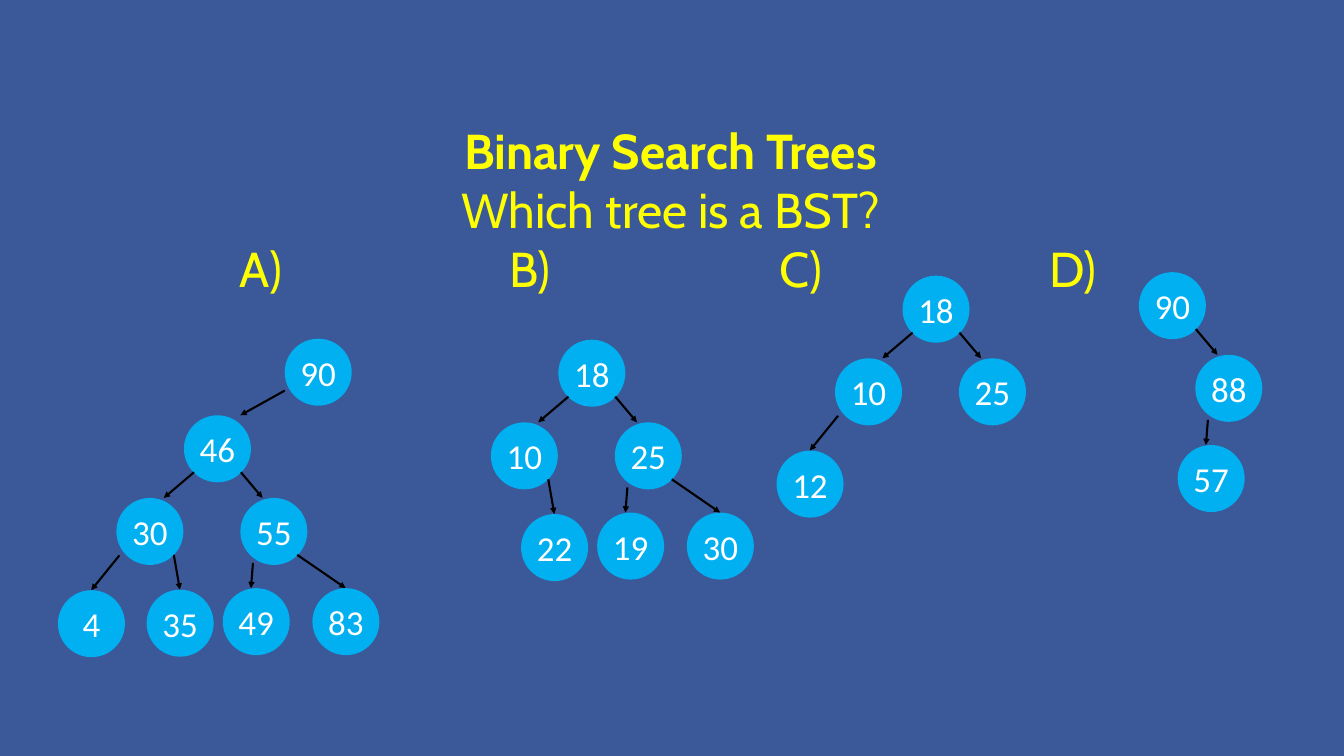
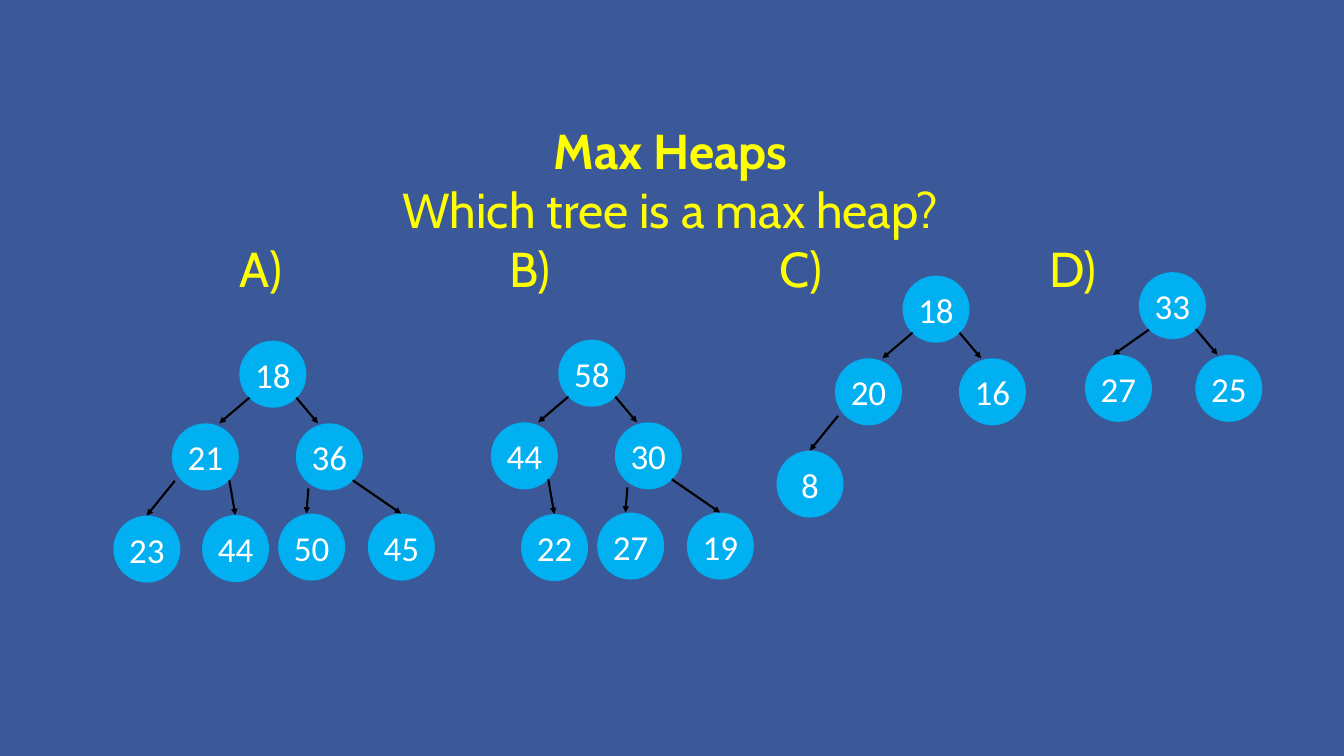
from dataclasses import dataclass

from lxml.etree import SubElement
from pptx import Presentation
from pptx.dml.color import RGBColor
from pptx.enum.shapes import MSO_CONNECTOR, MSO_SHAPE
from pptx.enum.text import MSO_ANCHOR, PP_ALIGN
from pptx.oxml.ns import qn
from pptx.util import Inches, Pt


@dataclass(frozen=True)
class Theme:
    """Colours, fonts and sizes shared by both slides."""
    background: RGBColor = RGBColor(0x3B, 0x59, 0x98)
    title: RGBColor = RGBColor(0xFF, 0xFF, 0x00)
    node: RGBColor = RGBColor(0x00, 0xB0, 0xF0)
    node_text: RGBColor = RGBColor(0xFF, 0xFF, 0xFF)
    arrow: RGBColor = RGBColor(0x00, 0x00, 0x00)
    title_font: str = "Cabin"
    node_font: str = "Calibri"
    title_size: int = 70
    node_size: int = 50
    arrow_width: int = 3


THEME = Theme()

# Content: each tree is (top left of its root node, {slot: key}).
SLIDES = [
    ("Binary Search Trees", "Which tree is a BST?", [
        ((3.65, 8.24), {"above": 90, "root": 46, "L": 30, "R": 55,
                        "LL": 4, "LR": 35, "RL": 49, "RR": 83}),
        ((11.08, 6.74), {"root": 18, "L": 10, "R": 25,
                         "LR": 22, "RL": 19, "RR": 30}),
        ((17.91, 5.47), {"root": 18, "L": 10, "R": 25, "LL": 12}),
        ((22.6, 5.4), {"root": 90, "R": 88, "RL": 57}),
    ]),
    ("Max Heaps", "Which tree is a max heap?", [
        ((4.75, 6.76), {"root": 18, "L": 21, "R": 36,
                        "LL": 23, "LR": 44, "RL": 50, "RR": 45}),
        ((11.08, 6.74), {"root": 58, "L": 44, "R": 30,
                         "LR": 22, "RL": 27, "RR": 19}),
        ((17.91, 5.47), {"root": 18, "L": 20, "R": 16, "LL": 8}),
        ((22.6, 5.4), {"root": 33, "near L": 27, "R": 25}),
    ]),
]
OPTIONS = ["A)", "B)", "C)", "D)"]

# Layout: where each slot sits relative to the root node.
NODE = 1.33
SLOTS = {
    "above": (2, -1.52), "root": (0, 0),
    "L": (-1.34, 1.64), "near L": (-1.07, 1.64), "R": (1.12, 1.64),
    "LL": (-2.5, 3.47), "LR": (-0.74, 3.46),
    "RL": (0.77, 3.43), "RR": (2.55, 3.43),
}
# child: (parent, point left from within the parent, x reached on the child's top)
LINKS = {
    "root": ("above", (0, 1.03), 1.12),
    "L": ("root", (0.2, 1.13), 0.94),
    "near L": ("root", (0.2, 1.14), 0.56),
    "R": ("root", (1.13, 1.13), 0.44),
    "LL": ("L", (0.06, 1.14), 0.66),
    "LR": ("L", (1.14, 1.13), 0.66),
    "RL": ("R", (0.25, 1.29), 0.56),
    "RR": ("R", (1.13, 1.13), 0.66),
}
TITLE_BOX = (-0.03, 2.89, 26.67, 2.5)
FIRST_OPTION, OPTION_PITCH = 4.78, 5.36


def prepare_frame(tf, inset):
    """Centre a text frame vertically and give it equal margins."""
    tf.word_wrap = True
    tf.vertical_anchor = MSO_ANCHOR.MIDDLE
    tf.margin_left = tf.margin_right = Inches(inset)
    tf.margin_top = tf.margin_bottom = Inches(inset)


def style_paragraph(p, font, size, color, bold=False):
    """Centre a paragraph and set its font."""
    p.alignment = PP_ALIGN.CENTER
    p.font.name, p.font.size, p.font.bold = font, Pt(size), bold
    p.font.color.rgb = color


def add_title(s, topic, question):
    """Add the topic, the question and the row of option letters."""
    tf = s.shapes.add_textbox(*map(Inches, TITLE_BOX)).text_frame
    prepare_frame(tf, 0)
    lines = [topic, question, "".join("\t" + o for o in OPTIONS)]
    for i, line in enumerate(lines):
        p = tf.add_paragraph() if i else tf.paragraphs[0]
        p.add_run().text = line
        style_paragraph(p, THEME.title_font, THEME.title_size, THEME.title, i == 0)
    p.alignment = PP_ALIGN.LEFT
    pPr = p._p.get_or_add_pPr()
    stops = pPr.makeelement(qn("a:tabLst"), {})
    pPr.insert_element_before(stops, "a:defRPr", "a:extLst")
    for i in range(len(OPTIONS)):
        pos = Inches(FIRST_OPTION + i * OPTION_PITCH)
        SubElement(stops, qn("a:tab"), pos=str(int(pos)), algn="l")


def add_node(s, x, y, key):
    """Add a round node with its key."""
    sp = s.shapes.add_shape(MSO_SHAPE.OVAL, *map(Inches, (x, y, NODE, NODE)))
    sp.shadow.inherit = False
    sp.fill.solid()
    sp.fill.fore_color.rgb = THEME.node
    sp.line.fill.background()
    prepare_frame(sp.text_frame, 0.08)
    p = sp.text_frame.paragraphs[0]
    p.add_run().text = str(key)
    style_paragraph(p, THEME.node_font, THEME.node_size, THEME.node_text)


def add_arrow(s, start, end):
    """Add an arrow from a parent to a child."""
    line = s.shapes.add_connector(MSO_CONNECTOR.STRAIGHT, *map(Inches, start + end))
    line.line.color.rgb = THEME.arrow
    line.line.width = Pt(THEME.arrow_width)
    SubElement(line.line._get_or_add_ln(), qn("a:tailEnd"), type="triangle")
    SubElement(line._element.spPr, qn("a:effectLst"))


def add_tree(s, root, keys):
    """Add the nodes of a tree, then an arrow to each child."""
    spots = {slot: (root[0] + SLOTS[slot][0], root[1] + SLOTS[slot][1])
             for slot in keys}
    for slot, key in keys.items():
        add_node(s, *spots[slot], key)
    for child, (parent, (dx, dy), enter) in LINKS.items():
        if child in spots and parent in spots:
            (px, py), (cx, cy) = spots[parent], spots[child]
            add_arrow(s, (px + dx, py + dy), (cx + enter, cy))


def main():
    """Build and save the quiz slides."""
    prs = Presentation()
    prs.slide_width, prs.slide_height = Inches(26.67), Inches(15)
    for topic, question, trees in SLIDES:
        s = prs.slides.add_slide(prs.slide_layouts[6])
        s.background.fill.solid()
        s.background.fill.fore_color.rgb = THEME.background
        add_title(s, topic, question)
        for root, keys in trees:
            add_tree(s, root, keys)
    prs.save("out.pptx")


main()
